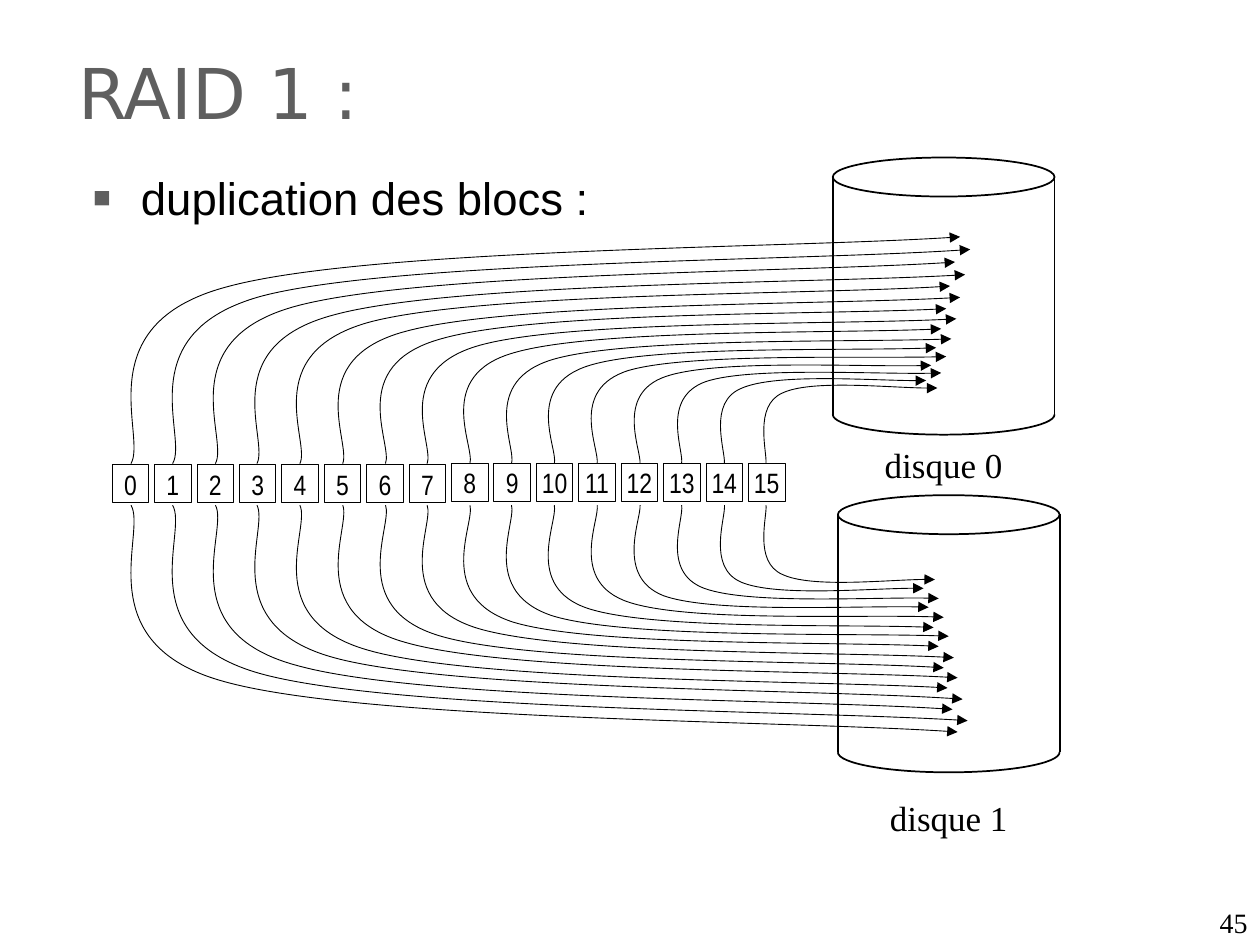
from dataclasses import dataclass

from lxml.etree import SubElement
from pptx import Presentation
from pptx.dml.color import RGBColor
from pptx.enum.shapes import MSO_CONNECTOR, MSO_SHAPE
from pptx.enum.text import MSO_ANCHOR, MSO_AUTO_SIZE, PP_ALIGN
from pptx.oxml.ns import qn
from pptx.util import Emu, Pt

PX = 9144  # EMU in one px, 100 px to the inch
BLOCK_COUNT = 16
BLOCK_WIDTH = 29
LID_HEIGHT = 31
QUARTER_ELLIPSE = 0.55  # handle length of a cubic quarter ellipse, per radius


@dataclass(frozen=True)
class Theme:
    ink: RGBColor = RGBColor(0, 0, 0)
    accent: RGBColor = RGBColor(0x5F, 0x5F, 0x5F)
    title_font: str = "DejaVu Sans"
    body_font: str = "Arial"
    block_font: str = "Arial Narrow"
    label_font: str = "Times New Roman"
    title_size: int = 40
    body_size: int = 26
    label_size: int = 20
    small_size: int = 16
    disk_line: float = 1
    thin_line: float = 0.5


THEME = Theme()


def scaled(*lengths):
    return [Emu(round(length * PX)) for length in lengths]


def format_object(target, values):
    for name, value in values.items():
        setattr(target, name, value)


def write_text(shape, text, font, size, color=THEME.ink, frame=None, para=None):
    """Write one formatted paragraph and return it."""
    format_object(shape.text_frame, {
        "word_wrap": True, "auto_size": MSO_AUTO_SIZE.NONE, **(frame or {})})
    paragraph = shape.text_frame.paragraphs[0]
    format_object(paragraph, para or {})
    span = paragraph.add_run()
    span.text = text
    format_object(span.font, {"name": font, "size": Pt(size)})
    span.font.color.rgb = color
    return paragraph


def draw_outline(shape, width):
    shape.line.color.rgb = THEME.ink
    shape.line.width = Pt(width)
    if hasattr(shape, "fill"):
        shape.fill.background()
        shape.shadow.inherit = False
    else:
        SubElement(shape.element.spPr, qn("a:effectLst"))


def add_curve(shapes, points, width):
    """Draw an open chain of cubic curves: a start, then three points each."""
    start, *others = [(round(x), round(y)) for x, y in points]
    builder = shapes.build_freeform(*start, scale=PX)
    builder.add_line_segments(others, close=False)
    curve = builder.convert_to_shape()
    outline = curve.element.find(".//" + qn("a:path"))
    segments = outline.findall(qn("a:lnTo"))
    for first in range(0, len(segments), 3):
        cubic = SubElement(outline, qn("a:cubicBezTo"))
        for segment in segments[first:first + 3]:
            cubic.append(segment[0])
            outline.remove(segment)
    draw_outline(curve, width)
    return curve


def add_title(page, box):
    title = page.shapes.title
    format_object(title, dict(zip(("left", "top", "width", "height"), scaled(*box))))
    write_text(title, "RAID 1 :", THEME.title_font, THEME.title_size, THEME.accent,
               {"vertical_anchor": MSO_ANCHOR.TOP}, {"alignment": PP_ALIGN.LEFT})


def add_bullet(page, box):
    body = page.shapes.add_textbox(*scaled(*box))
    para = write_text(body, "duplication des blocs :", THEME.body_font, THEME.body_size,
                      para={"space_before": Pt(6.5)})
    properties = para._p.get_or_add_pPr()
    indent = 38 * PX
    properties.set("marL", str(indent))
    properties.set("indent", str(-indent))
    color = SubElement(properties, qn("a:buClr"))
    SubElement(color, qn("a:srgbClr"), val=str(THEME.accent))
    SubElement(properties, qn("a:buSzPct"), val="65000")
    SubElement(properties, qn("a:buFont"), typeface=THEME.body_font)
    SubElement(properties, qn("a:buChar"), char="■")


def lower_half_ellipse(left, top, width, depth):
    """Return the points of two cubic quarters, from left to right."""
    radius = width / 2
    center, right, bottom = left + radius, left + width, top + depth
    reach_x, reach_y = QUARTER_ELLIPSE * radius, QUARTER_ELLIPSE * depth
    return [(left, top),
            (left, top + reach_y), (center - reach_x, bottom), (center, bottom),
            (center + reach_x, bottom), (right, top + reach_y), (right, top)]


def add_disk(page, box, label, label_top):
    left, top, width, height = box
    rim_depth = LID_HEIGHT // 2 + 1
    rim_top = top + height - rim_depth
    shapes = page.shapes.add_group_shape().shapes

    lid = shapes.add_shape(MSO_SHAPE.OVAL, *scaled(left, top, width, LID_HEIGHT))
    draw_outline(lid, THEME.disk_line)
    add_curve(shapes, lower_half_ellipse(left, rim_top, width, rim_depth),
              THEME.disk_line)
    for x in (left, left + width):
        side = shapes.add_connector(
            MSO_CONNECTOR.STRAIGHT, *scaled(x, rim_top, x, top + LID_HEIGHT // 2))
        draw_outline(side, THEME.disk_line)

    caption = page.shapes.add_textbox(*scaled(left - 5, top + label_top, width + 10, 44))
    write_text(caption, label, THEME.label_font, THEME.label_size,
               para={"alignment": PP_ALIGN.CENTER, "space_before": Pt(12.5)})


def block_lefts(box):
    left, _, width, _ = box
    pitch = (width - BLOCK_WIDTH) / (BLOCK_COUNT - 1)
    return [left + number * pitch for number in range(BLOCK_COUNT)]


def add_blocks(page, box):
    """Number the blocks of the row; its second half sits 1 px higher."""
    _, top, _, height = box
    for number, block_left in enumerate(block_lefts(box)):
        raised = number >= BLOCK_COUNT // 2
        block = page.shapes.add_shape(
            MSO_SHAPE.RECTANGLE, *scaled(block_left, top - raised, BLOCK_WIDTH, height))
        draw_outline(block, THEME.thin_line)
        write_text(block, str(number), THEME.block_font, THEME.small_size,
                   frame={"word_wrap": False, "vertical_anchor": MSO_ANCHOR.MIDDLE},
                   para={"alignment": PP_ALIGN.CENTER})


def arrow_points(start_x, start_y, tip_x, tip_y, progress):
    """Return two smoothly joined cubics: out of a block, then flat to the tip.

    Progress runs from 0 at the first block to 1 at the last. Later arrows
    swing less to the left and turn flat sooner.
    """
    late = progress ** 2
    rise = tip_y - start_y
    bend_x = start_x - 36 + 25 * late
    bend_y = start_y + (0.61 + 0.15 * late) * rise
    span = tip_x - bend_x
    middle_x = bend_x + 0.16 * span
    middle_y = start_y + (0.78 + 0.16 * late) * rise
    leave = (start_x + span ** 2 / 36000, start_y + 0.2 * (bend_y - start_y))
    mirrored_bend = (2 * middle_x - bend_x, 2 * middle_y - bend_y)
    approach = (tip_x - 0.18 * span, start_y + (0.95 + 0.04 * late) * rise)
    return [(start_x, start_y), leave, (bend_x, bend_y), (middle_x, middle_y),
            mirrored_bend, approach, (tip_x, tip_y)]


def add_arrow_fan(page, row_box, start_y, first_tip, last_tip_y, bow):
    """Send one arrow from each block to a disk.

    Tips step to the left and every other one reaches further. Bow spreads
    the first tips wider apart than the last ones.
    """
    first_tip_x, first_tip_y = first_tip
    for number, block_left in enumerate(block_lefts(row_box)):
        progress = number / (BLOCK_COUNT - 1)
        stagger = 10 * (number % 2)
        tip_x = first_tip_x - 1.9 * number + stagger
        eased = progress * (1 + bow * (1 - progress))
        tip_y = first_tip_y + eased * (last_tip_y - first_tip_y)
        points = arrow_points(block_left + BLOCK_WIDTH / 2, start_y,
                              tip_x, tip_y, progress)
        arrow = add_curve(page.shapes, points, THEME.thin_line)
        SubElement(arrow.line._get_or_add_ln(), qn("a:tailEnd"), type="triangle")


def add_page_number(page, box):
    number = page.shapes.add_textbox(*scaled(*box))
    write_text(number, "45", THEME.label_font, THEME.small_size,
               frame={"vertical_anchor": MSO_ANCHOR.BOTTOM},
               para={"alignment": PP_ALIGN.RIGHT})


def main():
    deck = Presentation()
    deck.slide_width, deck.slide_height = scaled(1000, 750)
    page = deck.slides.add_slide(deck.slide_layouts[5])
    add_title(page, (52, 34, 270, 81))
    add_bullet(page, (64, 130, 582, 77))
    add_disk(page, (661, 125, 176, 220), "disque 0", 222)
    add_disk(page, (665, 393, 176, 220), "disque 1", 234)
    row_box = (89, 369, 534, 30)
    add_blocks(page, row_box)
    add_arrow_fan(page, row_box, 368, first_tip=(762, 188), last_tip_y=308, bow=0.3)
    add_arrow_fan(page, row_box, 401, first_tip=(760, 581), last_tip_y=460, bow=0.1)
    add_page_number(page, (767, 714, 233, 36))
    deck.save("out.pptx")


if __name__ == "__main__":
    main()
